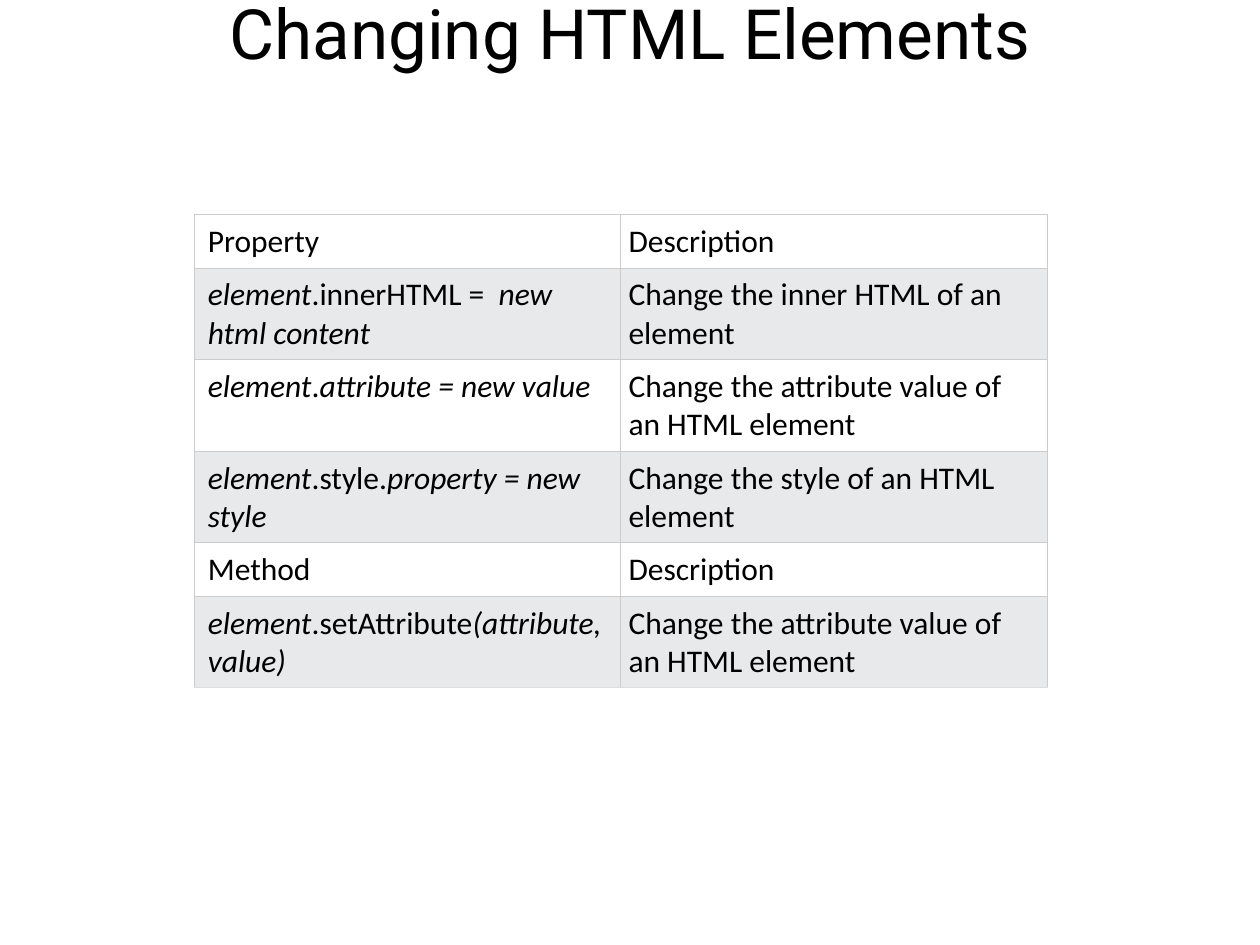
from lxml.etree import SubElement
from pptx import Presentation
from pptx.dml.color import RGBColor
from pptx.enum.text import MSO_ANCHOR as Anchor, PP_ALIGN as Align
from pptx.oxml.ns import qn
from pptx.util import Cm, Pt

BLACK, WHITE, STRIPE = "000000", "FFFFFF", "E7E9EB"
GRID, LAST_EDGE = "CCCCCC", "DDDDDD"

# Text between asterisks is italic
REFERENCE = [
    ("Property", "Description"),
    ("*element*.innerHTML =  *new html content*", "Change the inner HTML of an element"),
    ("*element*.*attribute = new value*", "Change the attribute value of an HTML element"),
    ("*element*.style.*property = new style*", "Change the style of an HTML element"),
    ("Method", "Description"),
    ("*element*.setAttribute*(attribute, value)*",
     "Change the attribute value of an HTML element"),
]
HEADINGS = ("Property", "Method")


def color(hex_code):
    return RGBColor.from_string(hex_code)


def write(frame, text, font="Calibri", size=18, ink=BLACK, align=Align.LEFT,
          anchor=Anchor.TOP, insets=(0, 0, 0, 0)):
    """Write text with *italic* marks; insets are left, top, right, bottom in cm."""
    frame.word_wrap = True
    frame.vertical_anchor = anchor
    (frame.margin_left, frame.margin_top,
     frame.margin_right, frame.margin_bottom) = map(Cm, insets)
    paragraph = frame.paragraphs[0]
    paragraph.alignment = align
    for index, part in enumerate(text.split("*")):
        if part:
            run = paragraph.add_run()
            run.text = part
            run.font.name = font
            run.font.size = Pt(size)
            run.font.italic = index % 2 == 1
            run.font.color.rgb = color(ink)


def set_borders(cell, bottom):
    properties = cell._tc.get_or_add_tcPr()
    edges = {"a:lnL": GRID, "a:lnR": GRID, "a:lnT": GRID, "a:lnB": bottom}
    for position, (edge, hex_code) in enumerate(edges.items()):
        line = properties.makeelement(qn(edge), {"w": str(Pt(0.5))})
        properties.insert(position, line)
        SubElement(SubElement(line, qn("a:solidFill")), qn("a:srgbClr"), val=hex_code)


def add_title(slide, left, top, width, height):
    title = slide.shapes.add_textbox(Cm(left), Cm(top), Cm(width), Cm(height))
    # The heading rises above its box, close to the slide's top edge
    write(title.text_frame, "Changing HTML Elements", font="Roboto", size=39.6,
          align=Align.CENTER, anchor=Anchor.BOTTOM, insets=(0, 0, 0, 0.55))


def add_reference_table(slide, left, top, width, height):
    table = slide.shapes.add_table(len(REFERENCE), 2, Cm(left), Cm(top),
                                   Cm(width), Cm(height)).table
    table.first_row = table.horz_banding = False
    for column in table.columns:
        column.width = Cm(width / 2)

    for number, entry in enumerate(REFERENCE):
        table.rows[number].height = Cm(1.02 if entry[0] in HEADINGS else 1.75)
        bottom = LAST_EDGE if number == len(REFERENCE) - 1 else GRID
        for place, text in enumerate(entry):
            cell = table.cell(number, place)
            left_inset = 0.16 if place else 0.28
            write(cell.text_frame, text)
            cell.margin_left = Cm(left_inset)
            cell.margin_top = cell.margin_right = cell.margin_bottom = Cm(0.16)
            cell.vertical_anchor = Anchor.TOP
            cell.fill.solid()
            cell.fill.fore_color.rgb = color(STRIPE if number % 2 else WHITE)
            set_borders(cell, bottom)


def main():
    deck = Presentation()
    deck.slide_width, deck.slide_height = Cm(25.4), Cm(19.05)
    slide = deck.slides.add_slide(deck.slide_layouts[6])
    slide.background.fill.solid()
    slide.background.fill.fore_color.rgb = color(WHITE)

    add_title(slide, 1.27, 0.76, 22.86, 1.27)
    add_reference_table(slide, 3.91, 4.32, 17.2, 9.32)
    deck.save("out.pptx")


if __name__ == "__main__":
    main()
